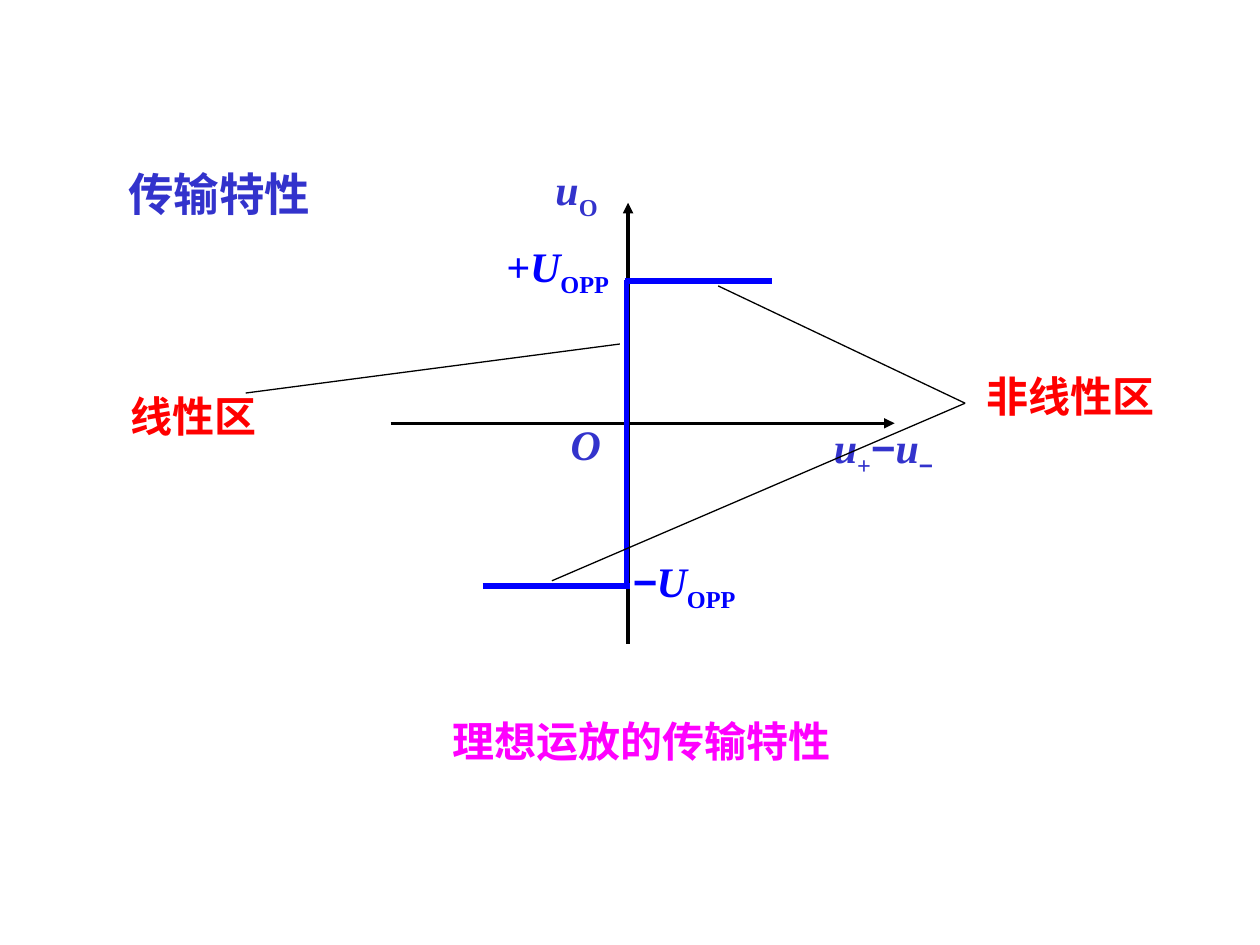
import pptx
import pptx.dml.color
import pptx.enum.shapes
import pptx.enum.text
import pptx.oxml.ns
import pptx.util
from lxml import etree

Pt = pptx.util.Pt
RGBColor = pptx.dml.color.RGBColor
ALIGN = pptx.enum.text.PP_ALIGN

BLACK = RGBColor(0x00, 0x00, 0x00)
INDIGO = RGBColor(0x33, 0x33, 0xCC)
BLUE = RGBColor(0x00, 0x00, 0xFF)
RED = RGBColor(0xFF, 0x00, 0x00)
MAGENTA = RGBColor(0xFF, 0x00, 0xFF)

SERIF = "Times New Roman"
SANS = "Arial"
ITALIC = {"italic": True}
SUB = {"sub": True}


class SlideBuilder:
    text_size = 24
    title_size = 26

    def __init__(self, page):
        self.page = page

    def title(self, text, place, color):
        box = self.page.shapes.title
        box.left, box.top, box.width, box.height = map(Pt, place)
        self.fill_text(box, [(text, {})], color, self.title_size)

    def label(self, runs, place, color, align=ALIGN.LEFT, indent=0):
        box = self.page.shapes.add_textbox(*map(Pt, place))
        self.fill_text(box, runs, color, self.text_size, align, indent)

    def fill_text(self, box, runs, color, size, align=ALIGN.LEFT, indent=0):
        frame = box.text_frame
        frame.word_wrap = True
        frame.auto_size = pptx.enum.text.MSO_AUTO_SIZE.SHAPE_TO_FIT_TEXT
        frame.vertical_anchor = pptx.enum.text.MSO_ANCHOR.TOP
        frame.margin_left = Pt(7.2 + indent)
        frame.margin_right = Pt(7.2)
        frame.margin_top = frame.margin_bottom = Pt(3.6)
        para = frame.paragraphs[0]
        para.alignment = align
        for text, style in runs:
            span = para.add_run()
            span.text = text
            font = span.font
            font.name = style.get("font", SERIF)
            font.size = Pt(size)
            font.bold = True
            font.italic = style.get("italic", False)
            font.color.rgb = color
            if style.get("sub"):
                span._r.get_or_add_rPr().set("baseline", "-25000")

    def line(self, start, end, color, width, arrow=False):
        connector = self.page.shapes.add_connector(
            pptx.enum.shapes.MSO_CONNECTOR.STRAIGHT,
            *map(Pt, (*start, *end)))
        connector.line.color.rgb = color
        connector.line.width = Pt(width)
        if arrow:
            outline = connector.line._get_or_add_ln()
            etree.SubElement(outline, pptx.oxml.ns.qn("a:tailEnd"), type="triangle")
        etree.SubElement(connector._element.spPr, pptx.oxml.ns.qn("a:effectLst"))


def main():
    deck = pptx.Presentation()
    deck.slide_width, deck.slide_height = Pt(720), Pt(540)
    slide = SlideBuilder(deck.slides.add_slide(deck.slide_layouts[5]))

    slide.title("传输特性", (66.2, 91.4, 156.2, 38.9), INDIGO)

    slide.line((223.2, 241.9), (511.2, 241.9), BLACK, 2, arrow=True)
    slide.line((358.9, 367.9), (358.9, 115.9), BLACK, 2, arrow=True)
    slide.label([("u", ITALIC), ("O", SUB)], (310.3, 90, 59.8, 40.3), INDIGO)
    slide.label(
        [("u", ITALIC), ("+", SUB), ("−", {"font": SANS}),
         ("u", ITALIC), ("−", {"font": SANS, "sub": True})],
        (469.4, 237.6, 94.3, 40.3), INDIGO)
    slide.label([("O", ITALIC)], (319, 235.4, 59.8, 36), INDIGO)

    slide.line((275.8, 334.8), (360, 334.8), BLUE, 3)
    slide.line((357.1, 160.6), (441.4, 160.6), BLUE, 3)
    slide.line((357.8, 159.8), (357.8, 333.4), BLUE, 3)
    slide.label([("+U", ITALIC), ("OPP", SUB)], (282.2, 133.9, 84.2, 40.3), BLUE)
    slide.label(
        [("−", {"font": SANS, "italic": True}), ("U", ITALIC), ("OPP", SUB)],
        (354.2, 313.9, 84.2, 40.3), BLUE)

    slide.label([("理想运放的传输特性", {})], (219.6, 405.4, 270, 36),
                MAGENTA, ALIGN.CENTER, indent=24)

    slide.line((140.4, 224.6), (354.2, 196.6), BLACK, 0.75)
    slide.label([("线性区", {})], (67.7, 219.6, 118.1, 36), RED)

    for start in ((410.4, 163.4), (315.4, 331.9)):
        slide.line(start, (551.5, 230.4), BLACK, 0.75)
    slide.label([("非线性区", {})], (556.6, 208.1, 118.1, 36), RED)

    deck.save("out.pptx")


if __name__ == "__main__":
    main()
